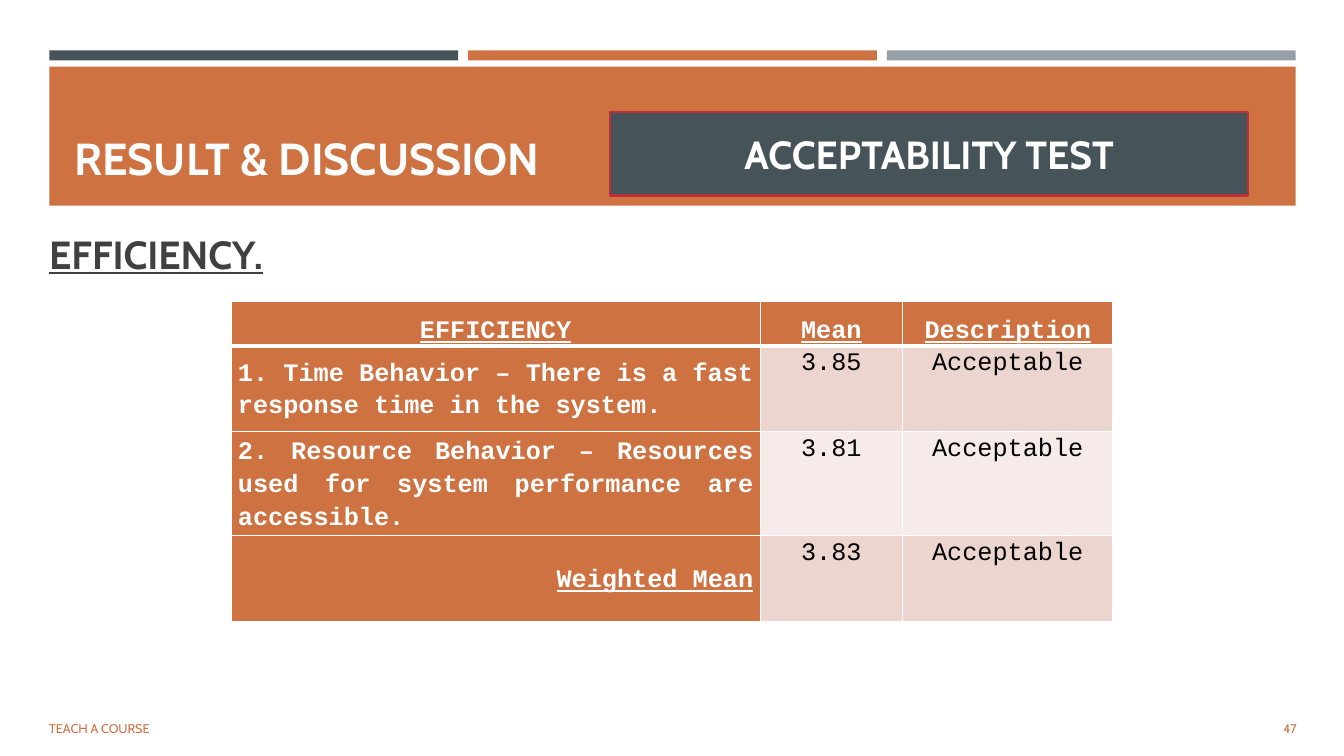
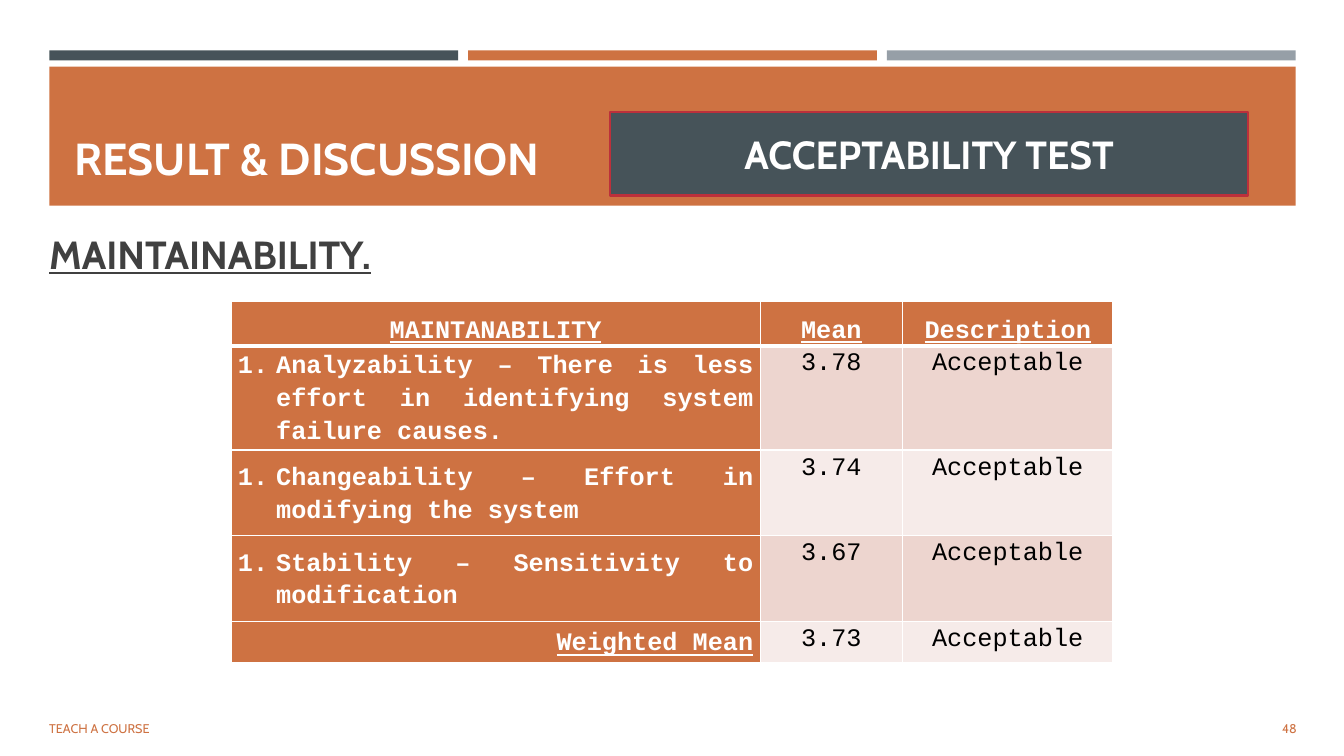
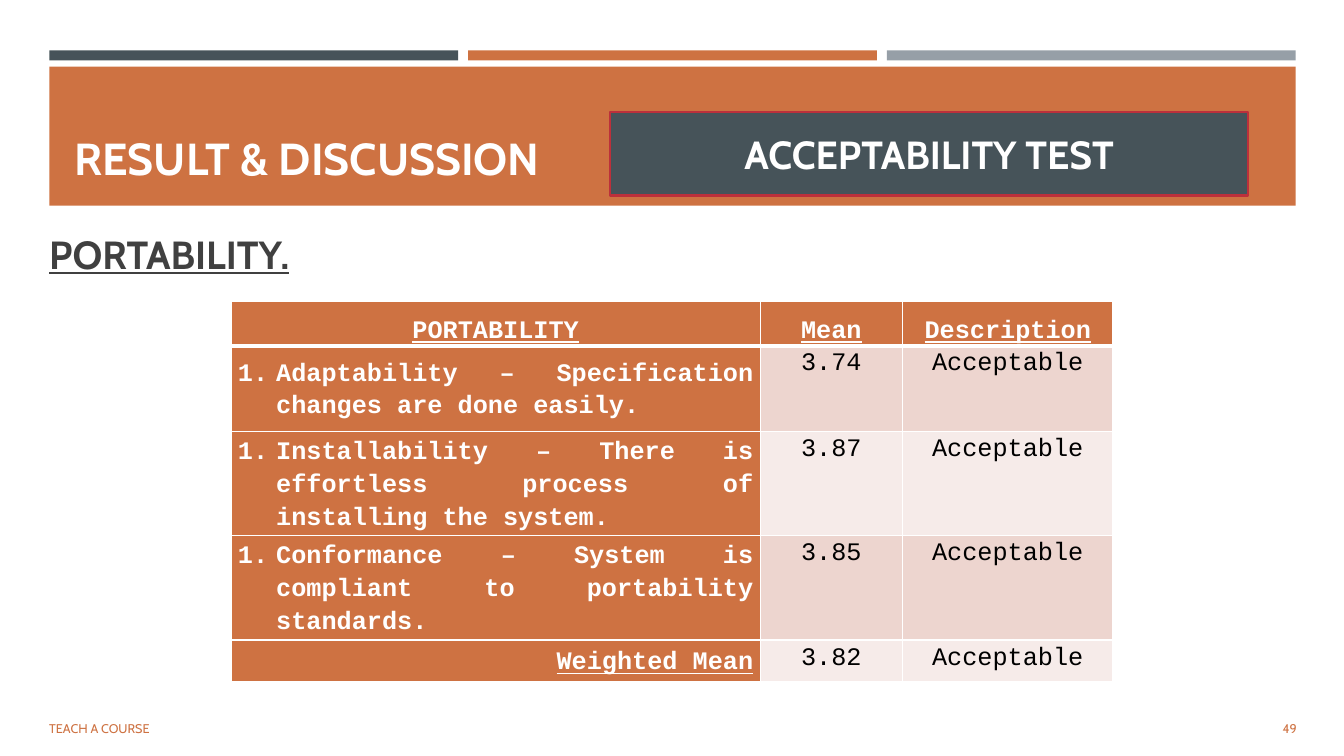
from lxml.etree import SubElement
from pptx import Presentation
from pptx.dml.color import RGBColor
from pptx.enum.shapes import MSO_SHAPE
from pptx.enum.text import MSO_ANCHOR, PP_ALIGN
from pptx.oxml.ns import qn
from pptx.util import Inches, Pt

ORANGE = RGBColor(0xCE, 0x72, 0x42)
SLATE = RGBColor(0x46, 0x53, 0x59)
GRAY = RGBColor(0x96, 0x9F, 0xA7)
RED = RGBColor(0xBC, 0x30, 0x3B)
CHARCOAL = RGBColor(0x40, 0x40, 0x40)
WHITE = RGBColor(0xFF, 0xFF, 0xFF)
BLACK = RGBColor(0x00, 0x00, 0x00)
ROW_TINTS = (RGBColor(0xED, 0xD5, 0xCF), RGBColor(0xF6, 0xEB, 0xE9))

TITLE = "RESULT & DISCUSSION"
TEST_NAME = "ACCEPTABILITY TEST"
FOOTER = "TEACH A COURSE"
RATING = "Acceptable"
FIRST_NUMBER = 47

SLIDES = [
    {
        "heading": "EFFICIENCY.",
        "criterion": "EFFICIENCY",
        "numbered": False,
        "items": [
            ("1. Time Behavior – There is a fast response time in the system.", "3.85"),
            ("2. Resource Behavior – Resources used for system performance are accessible.", "3.81"),
        ],
        "weighted_mean": "3.83",
        "last_row_height": 0.85,
    },
    {
        "heading": "MAINTAINABILITY.",
        "criterion": "MAINTANABILITY",
        "numbered": True,
        "items": [
            ("Analyzability – There is less effort in identifying system failure causes.", "3.78"),
            ("Changeability – Effort in modifying the system", "3.74"),
            ("Stability – Sensitivity to modification", "3.67"),
        ],
        "weighted_mean": "3.73",
        "last_row_height": 0.41,
    },
    {
        "heading": "PORTABILITY.",
        "criterion": "PORTABILITY",
        "numbered": True,
        "items": [
            ("Adaptability – Specification changes are done easily.", "3.74"),
            ("Installability – There is effortless process of installing the system.", "3.87"),
            ("Conformance – System is compliant to portability standards.", "3.85"),
        ],
        "weighted_mean": "3.82",
        "last_row_height": 0.41,
    },
]

MARGIN, CONTENT_WIDTH, BAND_GAP = 0.49, 12.36, 0.1
BAND_COLORS = (SLATE, ORANGE, GRAY)
COLUMNS = (5.25, 1.41, 2.09)
HEADER_HEIGHT, ITEM_HEIGHT = 0.44, 0.85

SMALL = {"name": "Cabin", "size": Pt(9)}
TITLE_FONT = {"name": "Cabin", "size": Pt(32), "bold": True}
TEST_FONT = {"name": "Cabin", "size": Pt(28), "bold": True}
HEADING_FONT = {**TEST_FONT, "underline": True}
VALUE_FONT = {"name": "Courier New", "size": Pt(18), "bold": False, "underline": False}
ITEM_FONT = {**VALUE_FONT, "bold": True}
HEADER_FONT = {**ITEM_FONT, "underline": True}


def inches(*lengths):
    return [Inches(length) for length in lengths]


def write(frame, text, font, color, alignment=PP_ALIGN.LEFT, **spacing):
    paragraph = frame.paragraphs[0]
    for name, value in {"alignment": alignment, **spacing}.items():
        setattr(paragraph, name, value)
    run = paragraph.add_run()
    run.text = text
    for name, value in font.items():
        setattr(run.font, name, value)
    run.font.color.rgb = color
    return paragraph


def add_rectangle(slide, box, color):
    shape = slide.shapes.add_shape(MSO_SHAPE.RECTANGLE, *inches(*box))
    shape.shadow.inherit = False
    shape.fill.solid()
    shape.fill.fore_color.rgb = color
    shape.line.fill.background()
    return shape


def add_text(slide, box, text, font, color, anchor=MSO_ANCHOR.MIDDLE, **spacing):
    frame = slide.shapes.add_textbox(*inches(*box)).text_frame
    frame.word_wrap = True
    frame.vertical_anchor = anchor
    write(frame, text, font, color, **spacing)


def add_frame(slide, number):
    band_width = (CONTENT_WIDTH - 2 * BAND_GAP) / 3
    for index, color in enumerate(BAND_COLORS):
        left = MARGIN + index * (band_width + BAND_GAP)
        add_rectangle(slide, (left, 0.5, band_width, 0.1), color)
    add_rectangle(slide, (MARGIN, 0.66, CONTENT_WIDTH, 1.38), ORANGE)
    add_text(slide, (11.81, 7.03, 1.15, 0.4), str(number), SMALL, ORANGE,
             alignment=PP_ALIGN.RIGHT, space_after=Pt(6))
    add_text(slide, (0.39, 7.03, 7.46, 0.4), FOOTER, SMALL, ORANGE, space_after=Pt(6))
    add_text(slide, (0.64, 0.8, 12.06, 1.08), TITLE, TITLE_FONT, WHITE, MSO_ANCHOR.BOTTOM)
    label = add_rectangle(slide, (6.05, 1.11, 6.33, 0.83), SLATE)
    label.line.color.rgb = RED
    label.line.width = Pt(1.75)
    frame = label.text_frame
    frame.margin_top = frame.margin_bottom = 0
    frame.vertical_anchor = MSO_ANCHOR.MIDDLE
    write(frame, TEST_NAME, TEST_FONT, WHITE, PP_ALIGN.CENTER, space_after=Pt(6))


def set_borders(cell, row):
    widths = {"L": 1, "R": 1, "T": 3 if row == 1 else 1, "B": 3 if row == 0 else 1}
    properties = cell._tc.get_or_add_tcPr()
    for side, width in widths.items():
        line = SubElement(properties, qn(f"a:ln{side}"), w=str(Pt(width)))
        SubElement(SubElement(line, qn("a:solidFill")), qn("a:srgbClr"), val=str(WHITE))


def set_numbering(paragraph):
    properties = paragraph._p.get_or_add_pPr()
    properties.set("marL", str(Inches(0.38)))
    properties.set("indent", str(-Inches(0.38)))
    SubElement(properties, qn("a:buFont"), typeface="+mj-lt")
    SubElement(properties, qn("a:buAutoNum"), type="arabicPeriod")
    paragraph.space_after = Pt(10)


def cell_style(row, column, last_row):
    if row == 0:
        return HEADER_FONT, WHITE, ORANGE, PP_ALIGN.CENTER, MSO_ANCHOR.BOTTOM
    if column > 0:
        return VALUE_FONT, BLACK, ROW_TINTS[(row - 1) % 2], PP_ALIGN.CENTER, MSO_ANCHOR.TOP
    if row == last_row:
        return HEADER_FONT, WHITE, ORANGE, PP_ALIGN.RIGHT, MSO_ANCHOR.MIDDLE
    return ITEM_FONT, WHITE, ORANGE, PP_ALIGN.JUSTIFY, MSO_ANCHOR.MIDDLE


def add_ratings(slide, content):
    rows = [(content["criterion"], "Mean", "Description")]
    rows += [(item, mean, RATING) for item, mean in content["items"]]
    rows.append(("Weighted Mean", content["weighted_mean"], RATING))
    heights = [HEADER_HEIGHT, *[ITEM_HEIGHT] * len(content["items"]), content["last_row_height"]]
    last_row = len(rows) - 1

    box = inches(2.29, 2.99, sum(COLUMNS), sum(heights))
    table = slide.shapes.add_table(len(rows), len(COLUMNS), *box).table
    for column, width in zip(table.columns, COLUMNS):
        column.width = Inches(width)
    for table_row, height in zip(table.rows, heights):
        table_row.height = Inches(height)

    for row, texts in enumerate(rows):
        for column, text in enumerate(texts):
            font, color, fill, alignment, anchor = cell_style(row, column, last_row)
            cell = table.cell(row, column)
            set_borders(cell, row)
            cell.fill.solid()
            cell.fill.fore_color.rgb = fill
            cell.margin_left = cell.margin_right = Inches(0.07)
            cell.margin_top = cell.margin_bottom = 0
            cell.vertical_anchor = anchor
            paragraph = write(cell.text_frame, text, font, color, alignment, line_spacing=1.15)
            if content["numbered"] and column == 0 and 0 < row < last_row:
                set_numbering(paragraph)


def main():
    presentation = Presentation()
    presentation.slide_width, presentation.slide_height = inches(13.33, 7.5)
    for number, content in enumerate(SLIDES, FIRST_NUMBER):
        slide = presentation.slides.add_slide(presentation.slide_layouts[6])
        add_frame(slide, number)
        add_text(slide, (0.39, 2.04, 7.33, 0.95), content["heading"], HEADING_FONT, CHARCOAL,
                 space_after=Pt(6))
        add_ratings(slide, content)
    presentation.save("out.pptx")


if __name__ == "__main__":
    main()
